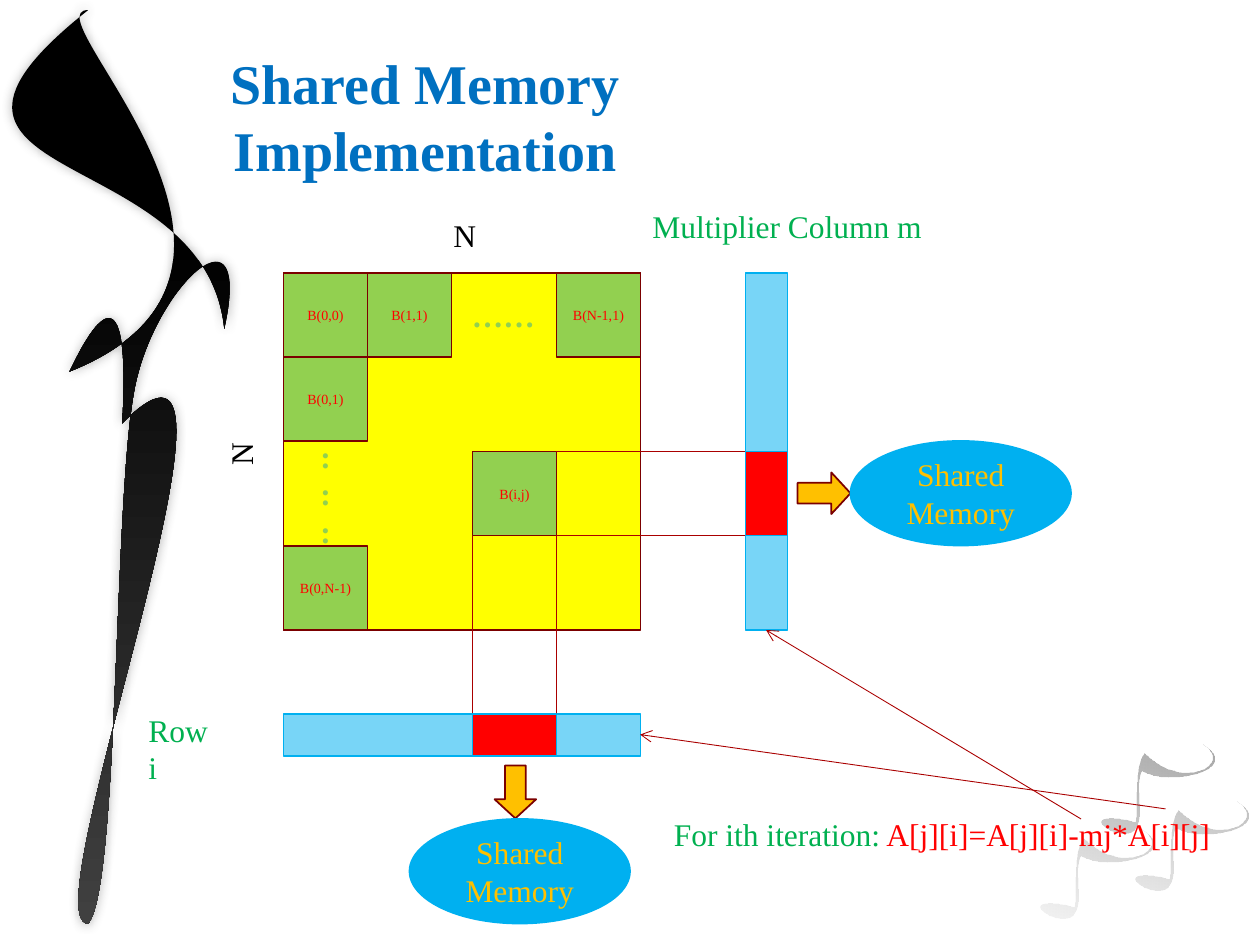
import math
from dataclasses import dataclass

from lxml import etree
from pptx import Presentation
from pptx import util as u
from pptx.dml import color as dml
from pptx.enum import shapes, text
from pptx.oxml import ns

COLORS = {
    "black": "000000", "gray": "404040", "yellow": "FFFF00", "lime": "92D050",
    "maroon": "7B0000", "crimson": "AA0000", "red": "FF0000", "sky": "00B0F0",
    "amber": "FFC000", "green": "00B050", "blue": "0070C0",
}
FONT = "Times New Roman"
CELL = 2 / 3
BAR = CELL / 2
MATRIX_LEFT, MATRIX_TOP, MATRIX_SIZE = 2.25, 3.25 * CELL, 4.25 * CELL
ACTIVE_LEFT, ACTIVE_TOP = MATRIX_LEFT + 2.25 * CELL, MATRIX_TOP + 2.125 * CELL
ROW_TOP, COLUMN_LEFT = 8.5 * CELL, MATRIX_LEFT + 5.5 * CELL
NOTE_CENTER, NOTE_ROTATION = (8.65, 6.98), 109.4


@dataclass
class Block:
    """A filled preset shape with an optional centred label."""
    left: float
    top: float
    width: float
    height: float
    fill: str
    line: str = "maroon"
    kind: shapes.MSO_SHAPE = shapes.MSO_SHAPE.RECTANGLE
    label: str = ""
    label_size: float = 18
    label_color: str = "amber"
    rotation: float = 0
    opacity: int = 100


@dataclass
class Label:
    """A text box; each paragraph is a list of (words, colour) runs."""
    left: float
    top: float
    width: float
    height: float
    paragraphs: list
    bold: bool = False
    centered: bool = False


@dataclass
class Line:
    """A straight line, with an arrowhead at its end if asked."""
    start: tuple
    end: tuple
    arrow: bool = False


def rgb(name: str) -> dml.RGBColor:
    """Return the named colour."""
    return dml.RGBColor.from_string(COLORS[name])


def add_child(parent, tag: str, **attributes):
    """Append a DrawingML element to a parent."""
    return etree.SubElement(parent, ns.qn(tag), attributes)


def set_opacity(parent, percent: int) -> None:
    """Give the first RGB colour under an element an opacity."""
    add_child(next(parent.iter(ns.qn("a:srgbClr"))), "a:alpha", val=str(percent * 1000))


def write(frame, paragraphs: list, *, size: float = 18, bold: bool = False,
          centered: bool = False, anchor=text.MSO_ANCHOR.TOP) -> None:
    """Fill a text frame with formatted paragraphs of coloured runs."""
    frame.word_wrap = True
    frame.vertical_anchor = anchor
    for index, runs in enumerate(paragraphs):
        paragraph = frame.add_paragraph() if index else frame.paragraphs[0]
        paragraph.alignment = text.PP_ALIGN.CENTER if centered else text.PP_ALIGN.LEFT
        for words, color in runs:
            run = paragraph.add_run()
            run.text = words
            run.font.name, run.font.size, run.font.bold = FONT, u.Pt(size), bold
            run.font.color.rgb = rgb(color)


def place(shape, left: float, top: float, width: float, height: float) -> None:
    """Move and size a shape in inches."""
    shape.left, shape.top = u.Inches(left), u.Inches(top)
    shape.width, shape.height = u.Inches(width), u.Inches(height)


def add_block(slide, block: Block) -> None:
    """Draw one block."""
    shape = slide.shapes.add_shape(block.kind, 0, 0, 0, 0)
    place(shape, block.left, block.top, block.width, block.height)
    shape.shadow.inherit = False
    shape.rotation = block.rotation
    shape.fill.solid()
    shape.fill.fore_color.rgb = rgb(block.fill)
    if block.opacity < 100:
        set_opacity(shape.element.spPr, block.opacity)
    shape.line.color.rgb = rgb(block.line)
    shape.line.width = u.Pt(1)
    if block.kind == shapes.MSO_SHAPE.RIGHT_ARROW:
        shape.adjustments[1] = 0.46
    if block.label:
        write(shape.text_frame, [[(block.label, block.label_color)]],
              size=block.label_size, centered=True, anchor=text.MSO_ANCHOR.MIDDLE)


def add_label(slide, label: Label):
    """Draw one text box and return it."""
    box = slide.shapes.add_textbox(0, 0, 0, 0)
    place(box, label.left, label.top, label.width, label.height)
    anchor = text.MSO_ANCHOR.MIDDLE if label.centered else text.MSO_ANCHOR.TOP
    write(box.text_frame, label.paragraphs, bold=label.bold,
          centered=label.centered, anchor=anchor)
    return box


def add_line(slide, line: Line) -> None:
    """Draw one thin line."""
    ends = [u.Inches(value) for value in (*line.start, *line.end)]
    connector = slide.shapes.add_connector(shapes.MSO_CONNECTOR.STRAIGHT, *ends)
    connector.line.color.rgb = rgb("crimson")
    connector.line.width = u.Pt(0.5)
    if line.arrow:
        add_child(connector.line._get_or_add_ln(), "a:tailEnd", type="arrow")
    add_child(connector.element.spPr, "a:effectLst")


def turn(point: tuple, center: tuple, degrees: float) -> tuple:
    """Rotate a point clockwise about a centre."""
    angle = math.radians(degrees)
    x, y = point[0] - center[0], point[1] - center[1]
    return (center[0] + x * math.cos(angle) - y * math.sin(angle),
            center[1] + x * math.sin(angle) + y * math.cos(angle))


def add_curve(slide, points: list, stops: list, angle: float):
    """Draw a start and triples of cubic control points; stops are (place, colour, opacity)."""
    outline = [(u.Inches(x), u.Inches(y)) for x, y in points]
    builder = slide.shapes.build_freeform(*outline[0], scale=1.0)
    builder.add_line_segments(outline[1:], close=True)
    shape = builder.convert_to_shape()
    segments = list(shape.element.spPr.iter(ns.qn("a:lnTo")))
    for index in range(0, len(segments), 3):
        curve = etree.Element(ns.qn("a:cubicBezTo"))
        segments[index].addprevious(curve)
        for segment in segments[index:index + 3]:
            curve.append(segment[0])
            segment.getparent().remove(segment)
    shape.fill.gradient()
    shape.fill.gradient_angle = angle
    for stop, (position, color, _) in zip(shape.fill.gradient_stops, stops):
        stop.position = position
        stop.color.rgb = rgb(color)
    for element, (_, _, opacity) in zip(shape.element.spPr.iter(ns.qn("a:gs")), stops):
        if opacity < 100:
            set_opacity(element, opacity)
    shape.line.fill.background()
    shape.shadow.inherit = False
    return shape


def add_decoration(slide) -> None:
    """Draw the ribbon on the left and the three notes on the right."""
    ribbon = add_curve(slide, [
        (0.97, 3.36), (1.06, 1.76), (0.56, 2.95), (0.55, 2.95),
        (2.57, 2.15), (0.21, 0.08), (0.7, 0.08), (-1.08, 1.49), (1.63, 1.11), (1.78, 2.61),
        (2.01, 1.57), (1.26, 2.24), (1.08, 3.03), (0.9, 3.81), (0.95, 7.04), (0.7, 7.33),
        (0.21, 7.33), (2.25, 2.07), (0.97, 3.36),
    ], [(0.25, "black", 100), (1, "gray", 100)], 270)
    effects = ribbon.element.spPr.find(ns.qn("a:effectLst"))
    shadow = add_child(effects, "a:outerShdw", blurRad=str(u.Pt(6)), dist="0", dir="0")
    add_child(shadow, "a:srgbClr", val=COLORS["gray"])
    set_opacity(shadow, 40)
    note = [turn(point, NOTE_CENTER, -NOTE_ROTATION) for point in [
        (8.53, 7.21), (8.55, 7.09), (8.51, 6.77), (8.6, 6.67),
        (8.9, 6.97), (9.31, 6.76), (9.06, 6.6), (9.39, 6.8), (8.78, 6.94), (8.58, 6.81),
        (8.52, 6.93), (8.59, 7.16), (8.54, 7.24), (8.46, 7.45), (7.96, 7.07), (8.53, 7.21),
    ]]
    for right, down, opacity in [(0, 0, 20), (0.48, -0.67, 35), (0.75, -0.22, 25)]:
        stops = [(0, "black", opacity), (1, "black", opacity - 15)]
        shape = add_curve(slide, [(x + right, y + down) for x, y in note], stops, 0)
        shape.rotation = NOTE_ROTATION


def main() -> None:
    """Build the slide and save it."""
    presentation = Presentation()
    presentation.slide_width, presentation.slide_height = u.Inches(10), u.Inches(7.5)
    slide = presentation.slides.add_slide(presentation.slide_layouts[5])
    title = slide.shapes.title
    place(title, 1.5, CELL / 2, 3.75, 0.64)
    write(title.text_frame, [[("Shared Memory Implementation", "blue")]],
          size=32, bold=True, centered=True)
    title.text_frame.auto_size = text.MSO_AUTO_SIZE.SHAPE_TO_FIT_TEXT
    add_decoration(slide)

    add_block(slide, Block(MATRIX_LEFT, MATRIX_TOP, MATRIX_SIZE, MATRIX_SIZE, "yellow"))
    for column, row, name in [(1, 0, "B(1,1)"), (0, 0, "B(0,0)"), (0, 1, "B(0,1)"),
                              (3.25, 0, "B(N-1,1)"), (0, 3.25, "B(0,N-1)"),
                              (2.25, 2.125, "B(i,j)")]:
        add_block(slide, Block(MATRIX_LEFT + column * CELL, MATRIX_TOP + row * CELL,
                               CELL, CELL, "lime", label=name, label_size=8,
                               label_color="red"))

    for label in [
        Label(MATRIX_LEFT, 3.5, CELL, 0.83, [[(":", "lime")]] * 3, True, True),
        Label(3.58, MATRIX_TOP, 0.83, CELL, [[("……", "lime")]], True, True),
        Label(3.5, 2.5 * CELL, 0.4, 0.4, [[("N", "black")]]),
        Label(5.08, 1.59, 2.43, 0.4, [[("Multiplier Column m", "green")]]),
        Label(1.08, 5.59, 0.77, 0.4, [[("Row i", "green")]]),
        Label(5.25, 6.42, 4.57, 0.4, [[("For ith iteration:", "green"),
                                       (" A[j][i]=A[j][i]-mj*A[i][j]", "red")]]),
    ]:
        add_label(slide, label)
    side = add_label(slide, Label(1.71, 3.49, 0.5, 0.3, [[("N", "black")]]))
    side.rotation = 180
    side.element.txBody.bodyPr.set("vert", "eaVert")

    for left, top, width, height in [(MATRIX_LEFT, ROW_TOP, MATRIX_SIZE, BAR),
                                     (COLUMN_LEFT, MATRIX_TOP, BAR, MATRIX_SIZE)]:
        add_block(slide, Block(left, top, width, height, "sky", "sky", opacity=53))
    right, bottom = ACTIVE_LEFT + CELL, ACTIVE_TOP + CELL
    for x in (ACTIVE_LEFT, right):
        add_line(slide, Line((x, bottom), (x, ROW_TOP + BAR)))
    for y in (bottom, ACTIVE_TOP):
        add_line(slide, Line((right, y), (COLUMN_LEFT + BAR, y)))
    for left, top, rotation in [(3.88, 6.12, 90), (6.33, 3.75, 0)]:
        add_block(slide, Block(left, top, 0.42, 0.33, "amber", rotation=rotation,
                               kind=shapes.MSO_SHAPE.RIGHT_ARROW))
    for left, top in [(3.25, 6.5), (6.75, 3.5)]:
        add_block(slide, Block(left, top, 1.75, 0.83, "sky", "sky",
                               shapes.MSO_SHAPE.OVAL, "Shared Memory"))
    for left, top, rotation in [(ACTIVE_LEFT, ROW_TOP, 0), (5.75, 3.75, 270)]:
        add_block(slide, Block(left, top, CELL, BAR, "red", "sky", rotation=rotation))
    for start, end in [((8.58, 6.5), (6.08, 5)), ((9.25, 6.42), (5.08, 5.83))]:
        add_line(slide, Line(start, end, arrow=True))
    presentation.save("out.pptx")


main()
